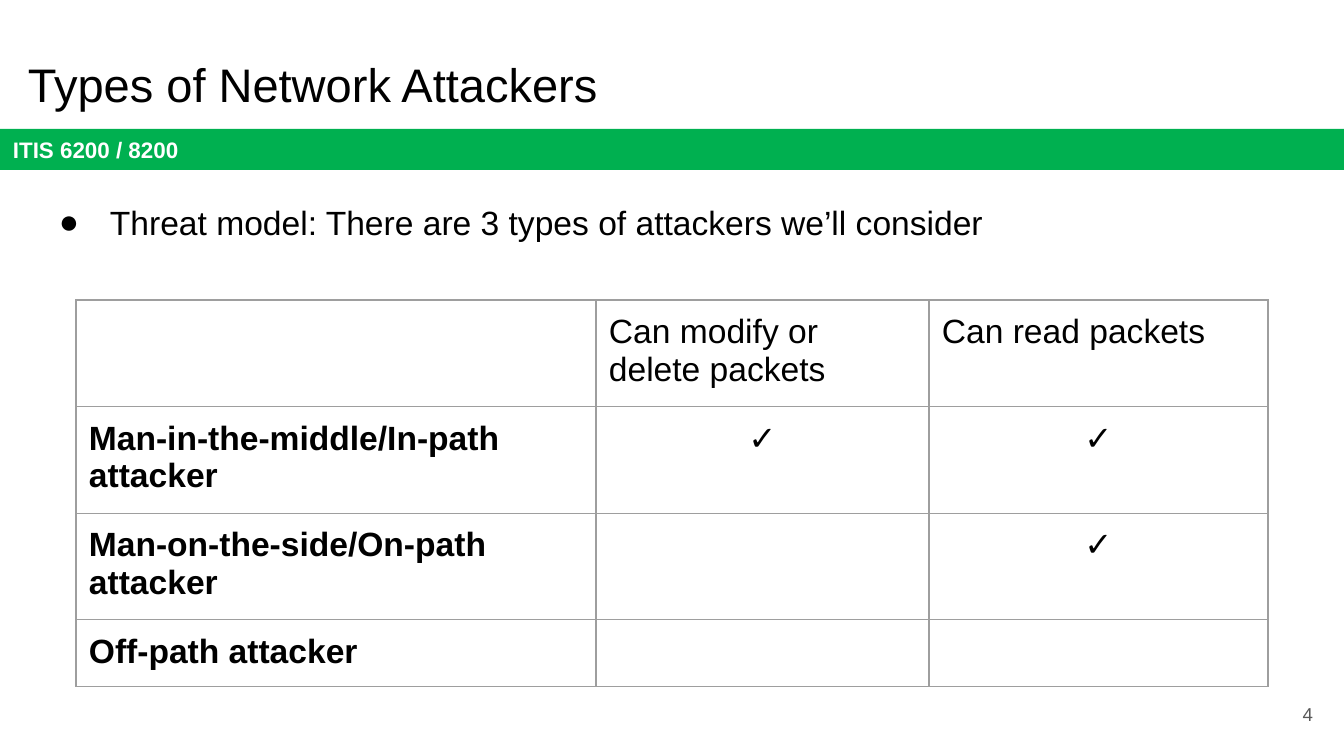
from lxml import etree
from pptx import Presentation
from pptx import util as u
from pptx.dml import color
from pptx.enum import shapes, text
from pptx.oxml import ns

PX = 914400 / 134.4
INSET = 13
BLACK, WHITE, GREEN, GREY, RULE = "000000", "FFFFFF", "00B050", "595959", "9E9E9E"
LEFT, CENTER, RIGHT = text.PP_ALIGN.LEFT, text.PP_ALIGN.CENTER, text.PP_ALIGN.RIGHT
TOP, MIDDLE, BOTTOM = text.MSO_ANCHOR.TOP, text.MSO_ANCHOR.MIDDLE, text.MSO_ANCHOR.BOTTOM


def px(length):
    return u.Emu(round(length * PX))


def rgb(value):
    return color.RGBColor.from_string(value)


def child(parent, tag, **attributes):
    return etree.SubElement(parent, ns.qn(tag), attributes)


class Deck:
    def __init__(self, width, height, font):
        self.presentation = Presentation()
        self.presentation.slide_width = px(width)
        self.presentation.slide_height = px(height)
        self.font = font
        self.slide = self.presentation.slides.add_slide(self.presentation.slide_layouts[6])

    def add_words(self, paragraph, words, size, ink=BLACK, bold=False, align=LEFT):
        paragraph.alignment = align
        run = paragraph.add_run()
        run.text = words
        run.font.name = self.font
        run.font.size = u.Pt(size)
        run.font.bold = bold
        run.font.color.rgb = rgb(ink)

    def inset(self, holder):
        holder.margin_left = holder.margin_right = px(INSET)
        holder.margin_top = holder.margin_bottom = px(INSET)

    def fill_frame(self, frame, words, size, anchor, **style):
        frame.word_wrap = True
        frame.vertical_anchor = anchor
        self.inset(frame)
        self.add_words(frame.paragraphs[0], words, size, **style)
        return frame.paragraphs[0]

    def label(self, box, words, size, anchor=TOP, **style):
        frame = self.slide.shapes.add_textbox(*map(px, box)).text_frame
        return self.fill_frame(frame, words, size, anchor, **style)

    def banner(self, box, fill, words, size, **style):
        bar = self.slide.shapes.add_shape(shapes.MSO_SHAPE.RECTANGLE, *map(px, box))
        bar.shadow.inherit = False
        bar.fill.solid()
        bar.fill.fore_color.rgb = rgb(fill)
        bar.line.fill.background()
        self.fill_frame(bar.text_frame, words, size, MIDDLE, **style)

    def bullet(self, box, words, size):
        paragraph = self.label(box, words, size)
        paragraph.line_spacing = 1.15
        properties = paragraph._p.get_or_add_pPr()
        properties.set("marL", str(px(67)))
        properties.set("indent", str(px(-51)))
        child(child(properties, "a:buClr"), "a:srgbClr", val=BLACK)
        child(properties, "a:buFont", typeface=self.font)
        child(properties, "a:buChar", char="●")

    def borders(self, cell):
        properties = cell._tc.get_or_add_tcPr()
        for place, side in enumerate(("a:lnL", "a:lnR", "a:lnT", "a:lnB")):
            line = child(properties, side, w=str(u.Pt(0.75)))
            child(child(line, "a:solidFill"), "a:srgbClr", val=RULE)
            properties.insert(place, line)

    def table(self, left, top, widths, heights, rows, size):
        grid = self.slide.shapes.add_table(
            len(heights), len(widths), px(left), px(top), px(sum(widths)), px(sum(heights))
        ).table
        grid.first_row = grid.horz_banding = False
        for column, width in zip(grid.columns, widths):
            column.width = px(width)
        for row, height in zip(grid.rows, heights):
            row.height = px(height)
        for r, row in enumerate(rows):
            for c, words in enumerate(row):
                cell = grid.cell(r, c)
                cell.fill.background()
                self.inset(cell)
                self.borders(cell)
                if words:
                    align = CENTER if r and c else LEFT
                    self.add_words(cell.text_frame.paragraphs[0], words, size, bold=c == 0, align=align)


def main():
    deck = Deck(1344, 756, "Arial")
    deck.banner((0, 129, 1344, 41), GREEN, "ITIS 6200 / 8200", 12, ink=WHITE, bold=True)
    deck.label((15, 40, 1253, 85), "Types of Network Attackers", 25.2, BOTTOM)
    deck.label((1246, 685, 80, 58), "4", 10, MIDDLE, ink=GREY, align=RIGHT)
    attackers = [
        ("", "Can modify or delete packets", "Can read packets"),
        ("Man-in-the-middle/In-path attacker", "✓", "✓"),
        ("Man-on-the-side/On-path attacker", "", "✓"),
        ("Off-path attacker", "", ""),
    ]
    deck.table(76, 300, (520, 333, 339), (102, 102, 102, 65), attackers, 18)
    deck.bullet((30, 183, 1253, 246), "Threat model: There are 3 types of attackers we’ll consider", 18)
    deck.presentation.save("out.pptx")


if __name__ == "__main__":
    main()
